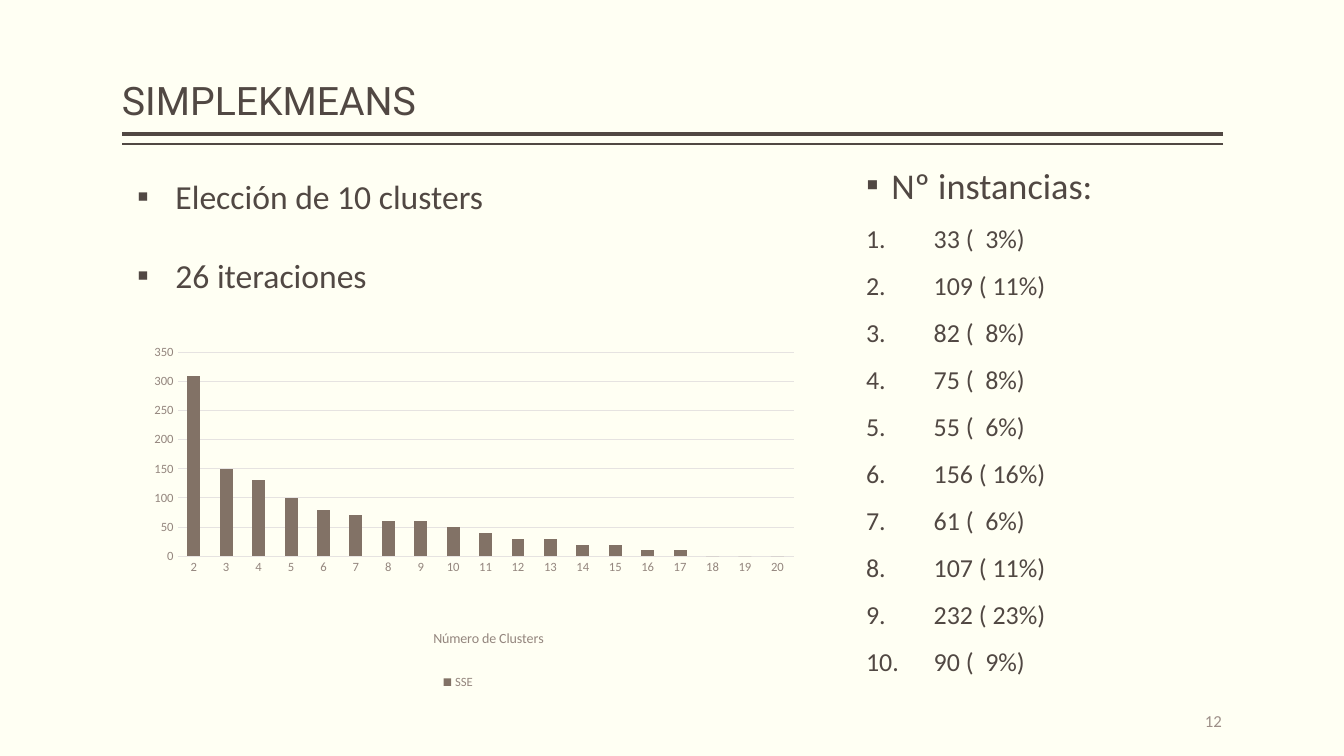
import pptx
import pptx.chart.data
import pptx.dml.color
import pptx.enum.chart
import pptx.enum.shapes
import pptx.enum.text
import pptx.oxml
import pptx.oxml.ns
import pptx.util
from lxml import etree

Inches = pptx.util.Inches
Pt = pptx.util.Pt
ALIGN = pptx.enum.text.PP_ALIGN
ANCHOR = pptx.enum.text.MSO_ANCHOR
CHART = pptx.enum.chart
qn = pptx.oxml.ns.qn


def color(hex_text):
    return pptx.dml.color.RGBColor.from_string(hex_text)


class ClusterSlide:
    """Hold the style and the current slide, and add each kind of element."""

    ink = "514843"
    muted = "94867E"
    pale = "E6E3E1"
    body_font = "Calibri"
    title_font = "Roboto"

    def __init__(self, page):
        self.page = page
        page.background.fill.solid()
        page.background.fill.fore_color.rgb = color("FFFFF3")

    def style(self, font, size, hex_text, name=body_font):
        font.name = name
        font.size = Pt(size)
        font.bold = False
        font.color.rgb = color(hex_text)

    def place(self, box, left, top, width, height, anchor, inset=0):
        box.left, box.top = Inches(left), Inches(top)
        box.width, box.height = Inches(width), Inches(height)
        frame = box.text_frame
        frame.word_wrap = True
        frame.auto_size = pptx.enum.text.MSO_AUTO_SIZE.NONE
        frame.vertical_anchor = anchor
        frame.margin_left = frame.margin_right = Inches(inset)
        frame.margin_top = frame.margin_bottom = Inches(0.05)
        return frame

    def title(self, text, *bounds):
        frame = self.place(self.page.shapes.title, *bounds, ANCHOR.BOTTOM)
        frame.text = text
        para = frame.paragraphs[0]
        para.alignment = ALIGN.LEFT
        para.line_spacing = 0.9
        self.style(para.font, 28, self.ink, self.title_font)

    def list_box(self, index, *bounds, inset=0):
        box = self.page.placeholders[index]
        return self.place(box, *bounds, ANCHOR.TOP, inset)

    def item(self, frame, text, size, indent, before, spacing=1.0, numbered=False):
        para = frame.paragraphs[0]
        if para.text:
            para = frame.add_paragraph()
        para.text = text
        para.alignment = ALIGN.LEFT
        para.line_spacing = spacing
        para.space_before = Pt(before)
        para.space_after = Pt(0)
        properties = para._p.get_or_add_pPr()
        properties.set("marL", str(Inches(indent)))
        properties.set("indent", str(-Inches(indent)))
        if numbered:
            etree.SubElement(properties, qn("a:buAutoNum"), type="arabicPeriod")
        else:
            etree.SubElement(properties, qn("a:buChar"), char="▪")
        self.style(para.font, size, self.ink)

    def rule(self, top, weight):
        line = self.page.shapes.add_connector(
            pptx.enum.shapes.MSO_CONNECTOR.STRAIGHT,
            Inches(12.13), Inches(top), Inches(1.21), Inches(top))
        line.line.color.rgb = color(self.ink)
        line.line.width = Pt(weight)
        etree.SubElement(line._element.spPr, qn("a:effectLst"))

    def page_number(self, text, *bounds):
        box = self.page.shapes.add_textbox(*map(Inches, bounds))
        frame = self.place(box, *bounds, ANCHOR.MIDDLE)
        frame.text = text
        para = frame.paragraphs[0]
        para.alignment = ALIGN.RIGHT
        self.style(para.font, 12, "9D8F88")

    def layout(self, parent, position, **values):
        for old in parent.findall(qn("c:layout")):
            parent.remove(old)
        layout = etree.Element(qn("c:layout"))
        manual = etree.SubElement(layout, qn("c:manualLayout"))
        for name, value in values.items():
            etree.SubElement(manual, qn("c:" + name), val=str(value))
        parent.insert(position, layout)

    def axis(self, axis):
        axis.major_tick_mark = axis.minor_tick_mark = CHART.XL_TICK_MARK.NONE
        self.style(axis.tick_labels.font, 9, self.muted)

    def column_chart(self, name, categories, values, axis_title, *bounds):
        data = pptx.chart.data.CategoryChartData()
        data.categories = categories
        data.add_series(name, values)
        chart = self.page.shapes.add_chart(
            CHART.XL_CHART_TYPE.COLUMN_STACKED, *map(Inches, bounds), data).chart
        self.style(chart.font, 10, self.ink)
        chart.has_title = False
        chart.has_legend = True
        chart.legend.position = CHART.XL_LEGEND_POSITION.BOTTOM
        chart.legend.include_in_layout = False
        self.style(chart.legend.font, 9, self.muted)

        plot = chart.plots[0]
        plot.gap_width, plot.overlap = 150, 100
        plot.vary_by_categories = False
        fill = plot.series[0].format.fill
        fill.solid()
        fill.fore_color.rgb = color("827266")

        across, upright = chart.category_axis, chart.value_axis
        self.axis(across)
        self.axis(upright)
        upright.minimum_scale, upright.maximum_scale = 0, 350
        upright.major_unit = 50
        upright.format.line.fill.background()
        for line in (across.format.line, upright.major_gridlines.format.line):
            line.color.rgb = color(self.pale)
            line.width = Pt(0.75)

        frame = across.axis_title.text_frame
        frame.text = axis_title
        self.style(frame.paragraphs[0].font, 10, self.muted)
        self.layout(across.axis_title._element, 1,
                    xMode="edge", yMode="edge", x=0.46, y=0.81)
        self.layout(chart._chartSpace.chart.plotArea, 0,
                    layoutTarget="inner", xMode="edge", yMode="edge",
                    x=0.09, y=0.03, w=0.9, h=0.58)


def main():
    deck = pptx.Presentation()
    deck.slide_width, deck.slide_height = Inches(13.33), Inches(7.5)
    slide = ClusterSlide(deck.slides.add_slide(deck.slide_layouts[3]))

    slide.rule(1.33, 3)
    slide.rule(1.43, 1)
    slide.title("SIMPLEKMEANS", 1.21, 0.08, 10.92, 1.2)

    summary = slide.list_box(1, 1.26, 1.69, 6.68, 1.62, inset=0.1)
    slide.item(summary, "Elección de 10 clusters", 24, 0.38, 0)
    slide.item(summary, "26 iteraciones", 24, 0.38, 28)

    instances = slide.list_box(2, 8.59, 1.69, 4.18, 5.19)
    slide.item(instances, "Nº instancias:", 25.9, 0.25, 18, 0.7)
    counts = ["33 (  3%)", "109 ( 11%)", "82 (  8%)", "75 (  8%)", "55 (  6%)",
              "156 ( 16%)", "61 (  6%)", "107 ( 11%)", "232 ( 23%)", "90 (  9%)"]
    for count in counts:
        slide.item(instances, count, 18.5, 0.67, 18, 0.7, numbered=True)

    errors = [310, 150, 130, 100, 80, 70, 60, 60, 50, 40,
              30, 30, 20, 20, 10, 10, 0, 0, 0]
    clusters = [str(number) for number in range(2, 21)]
    slide.column_chart("SSE", clusters, errors, "Número de Clusters",
                       1.15, 3.39, 6.79, 3.49)
    slide.page_number("12", 10.12, 6.95, 2, 0.4)
    deck.save("out.pptx")


if __name__ == "__main__":
    main()
